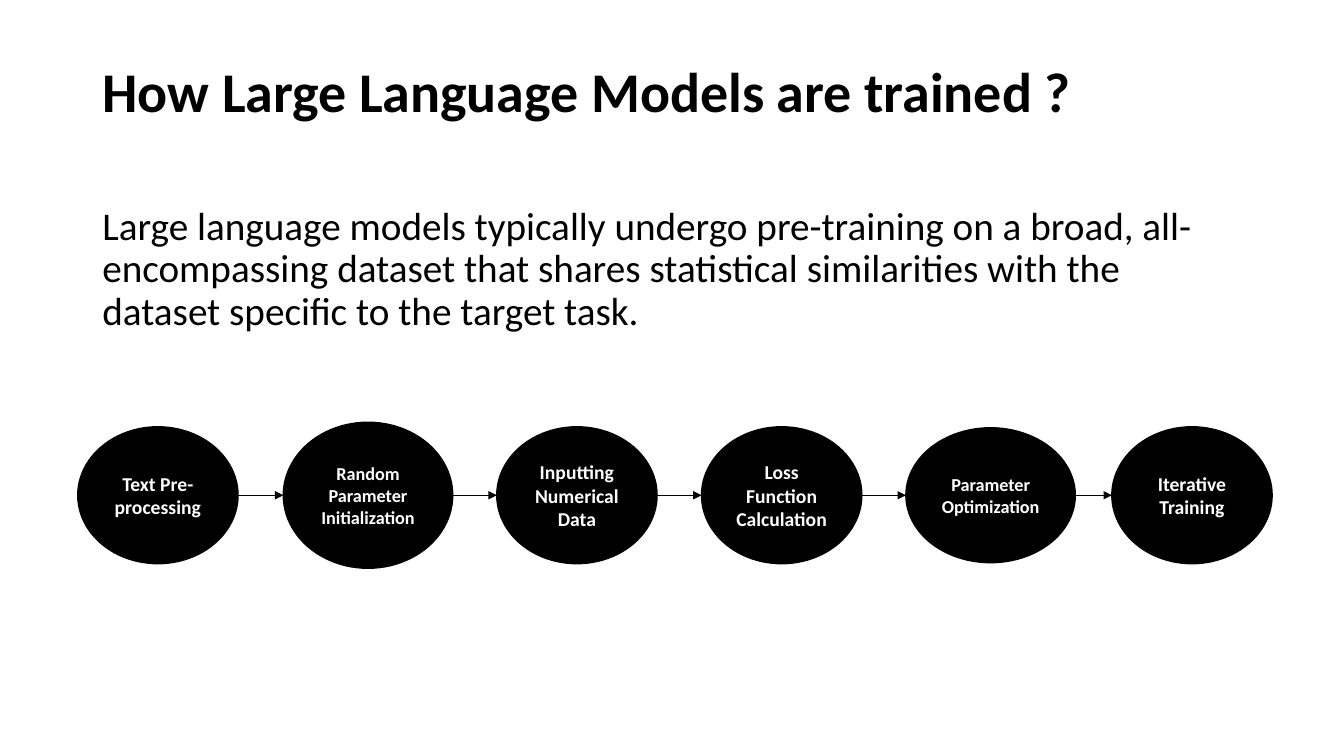
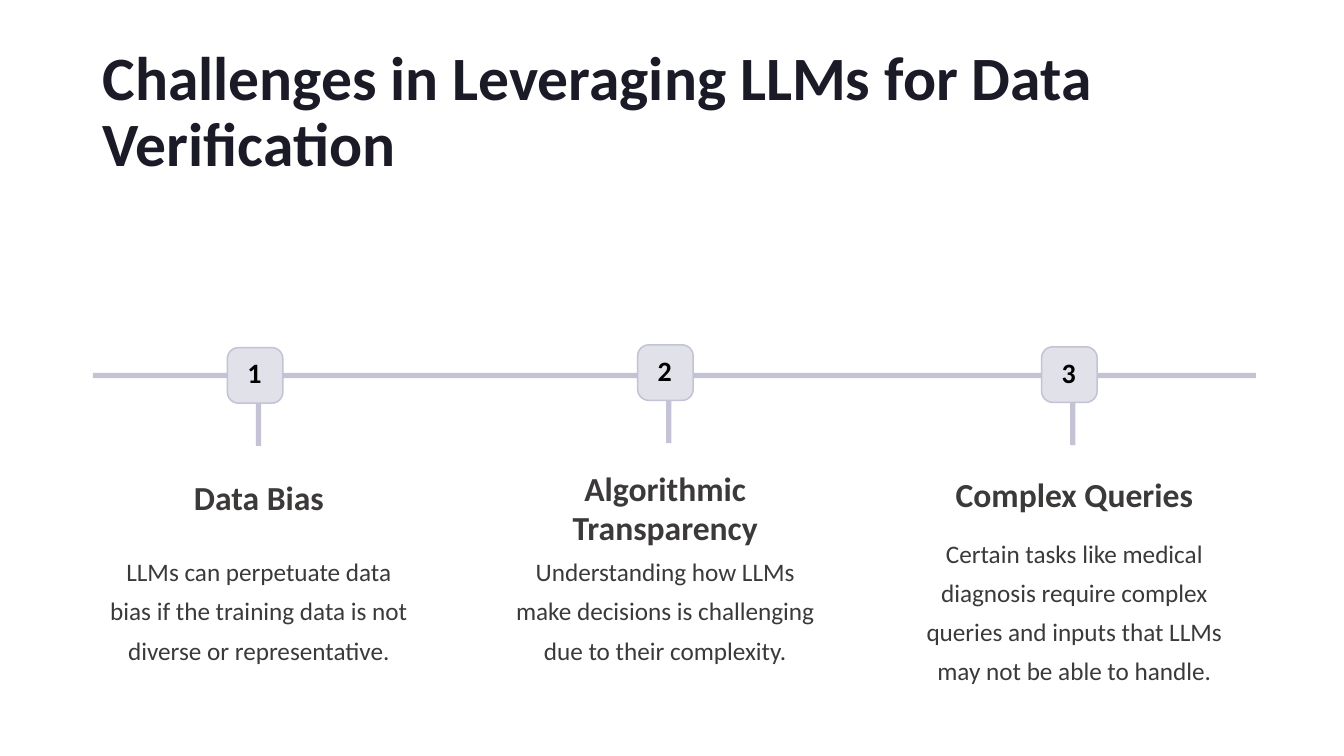
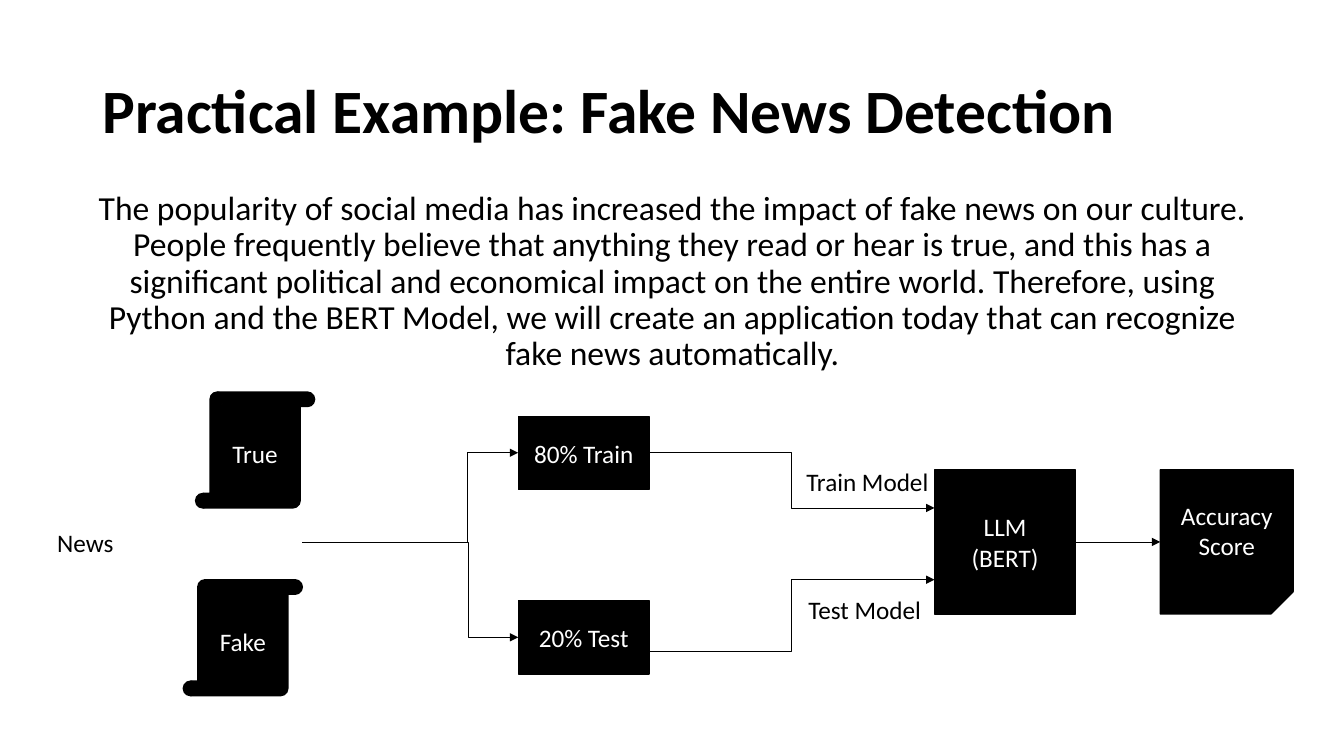
from lxml import etree
from pptx import Presentation
from pptx.dml.color import RGBColor
from pptx.enum.shapes import MSO_CONNECTOR, MSO_SHAPE
from pptx.enum.text import MSO_ANCHOR, MSO_AUTO_SIZE, PP_ALIGN
from pptx.oxml.ns import qn
from pptx.util import Cm, Pt

LEFT, CENTER = PP_ALIGN.LEFT, PP_ALIGN.CENTER
TOP, MIDDLE = MSO_ANCHOR.TOP, MSO_ANCHOR.MIDDLE
NO_AUTOFIT = MSO_AUTO_SIZE.NONE
STRAIGHT, ELBOW = MSO_CONNECTOR.STRAIGHT, MSO_CONNECTOR.ELBOW
RECT, ROUNDED, OVAL = MSO_SHAPE.RECTANGLE, MSO_SHAPE.ROUNDED_RECTANGLE, MSO_SHAPE.OVAL
SCROLL, FOLDED = MSO_SHAPE.VERTICAL_SCROLL, MSO_SHAPE.FOLDED_CORNER
TITLE_ONLY = 5

COLORS = {
    "black": "000000",
    "white": "FFFFFF",
    "navy": "1B1B27",
    "gray": "3C3939",
    "lavender": "C3C3D5",
    "mist": "E1E1EA",
}

FORMATS = {
    "title": {"para": {"alignment": LEFT, "line_spacing": 0.9}, "font": {"bold": True}},
    "body": {"para": {"line_spacing": 0.9, "space_before": Pt(10)}, "font": {}},
    "label": {"para": {"alignment": LEFT}, "font": {"size": Pt(18)}},
    "node": {"para": {"alignment": CENTER}, "font": {"size": Pt(18)}},
    "step": {"para": {"alignment": CENTER}, "font": {"bold": True}},
    "badge": {"para": {"alignment": LEFT}, "font": {"size": Pt(20), "bold": True}},
    "heading": {
        "para": {"alignment": CENTER, "line_spacing": Pt(27.3)},
        "font": {"size": Pt(24), "bold": True},
    },
    "detail": {
        "para": {"alignment": CENTER, "line_spacing": Pt(28)},
        "font": {"size": Pt(18)},
    },
}


def rgb(color):
    return RGBColor.from_string(COLORS[color])


class Deck:
    font = "Calibri"

    def __init__(self):
        self.prs = Presentation()
        self.prs.slide_width, self.prs.slide_height = Cm(33.87), Cm(19.05)
        self.s = None

    def fill_text(self, sp, text, style, color, anchor=TOP, wrap=True, size=None, align=None):
        tf = sp.text_frame
        tf.auto_size = NO_AUTOFIT
        tf.word_wrap = wrap
        tf.vertical_anchor = anchor
        for i, line in enumerate(text.split("\n")):
            p = tf.add_paragraph() if i else tf.paragraphs[0]
            r = p.add_run()
            r.text = line
            for name, value in FORMATS[style]["para"].items():
                setattr(p, name, value)
            for name, value in FORMATS[style]["font"].items():
                setattr(r.font, name, value)
            if align is not None:
                p.alignment = align
            if size:
                r.font.size = Pt(size)
            r.font.name = self.font
            r.font.color.rgb = rgb(color)

    def slide(self, title, top=1.02, size=44, color="black"):
        self.s = self.prs.slides.add_slide(self.prs.slide_layouts[TITLE_ONLY])
        sp = self.s.shapes.title
        sp.left, sp.top, sp.width, sp.height = Cm(2.33), Cm(top), Cm(29.21), Cm(3.68)
        self.fill_text(sp, title, "title", color, MIDDLE, size=size)

    def text(self, box, text, style, color="black", **options):
        sp = self.s.shapes.add_textbox(*map(Cm, box))
        self.fill_text(sp, text, style, color, **options)

    def shape(self, kind, box, fill="black", line="black", width=1):
        sp = self.s.shapes.add_shape(kind, *map(Cm, box))
        sp.shadow.inherit = False
        sp.fill.solid()
        sp.fill.fore_color.rgb = rgb(fill)
        if line:
            sp.line.color.rgb = rgb(line)
            sp.line.width = Pt(width)
        else:
            sp.line.fill.background()
        return sp

    def node(self, kind, box, text, style="node", size=None):
        sp = self.shape(kind, box)
        self.fill_text(sp, text, style, "white", MIDDLE, size=size)
        return sp

    def badge(self, box, text):
        sp = self.shape(ROUNDED, box, "mist", "lavender", 1.09)
        sp.adjustments[0] = 0.2
        self.fill_text(sp, text, "badge", "black")
        sp.text_frame.margin_left = Cm(0.42)

    def connector(self, start, end, kind=STRAIGHT, arrow=True):
        c = self.s.shapes.add_connector(kind, *map(Cm, start + end))
        c.line.color.rgb = rgb("black")
        c.line.width = Pt(0.5)
        properties = c.element.spPr
        if arrow:
            etree.SubElement(properties.find(qn("a:ln")), qn("a:tailEnd"), type="triangle")
        etree.SubElement(properties, qn("a:effectLst"))
        return c


def training_slide(deck):
    deck.slide("How Large Language Models are trained ?", top=0.53, size=40)
    deck.text(
        (2.33, 5.08, 29.21, 3.68),
        "Large language models typically undergo pre-training on a broad, "
        "all-encompassing dataset that shares statistical similarities with the "
        "dataset specific to the target task.",
        "body", size=28,
    )
    middle = 12.48
    steps = [
        ("Text Pre- processing", 1.96, 4.04, 3.45, 14),
        ("Random Parameter Initialization", 7.14, 4.27, 3.68, 13),
        ("Inputting Numerical Data", 12.52, 4.04, 3.45, 14),
        ("Loss Function Calculation", 17.68, 4.04, 3.45, 14),
        ("Parameter Optimization", 22.83, 4.27, 3.4, 13),
        ("Iterative Training", 28.02, 4.04, 3.45, 14),
    ]
    for text, left, width, height, size in steps:
        deck.node(OVAL, (left, middle - height / 2, width, height), text, "step", size)
    for (_, left, width, _, _), following in zip(steps, steps[1:]):
        deck.connector((left + width, middle), (following[1], middle))


def challenges_slide(deck):
    deck.slide("Challenges in Leveraging LLMs for Data Verification", color="navy")
    deck.shape(RECT, (2.34, 9.4, 29.31, 0.13), "lavender", None)
    column_width = 8.13
    challenges = [
        (6.45, 8.76, 2.46, "Data Bias", 11.94, 13.67,
         "LLMs can perpetuate data bias if the training data is not diverse "
         "or representative."),
        (16.79, 8.69, 12.7, "Algorithmic Transparency", 11.73, 13.67,
         "Understanding how LLMs make decisions is challenging due to their "
         "complexity."),
        (26.97, 8.74, 23.01, "Complex Queries", 11.86, 13.21,
         "Certain tasks like medical diagnosis require complex queries and "
         "inputs that LLMs may not be able to handle."),
    ]
    for number, challenge in enumerate(challenges, 1):
        stem, top, left, heading, heading_top, detail_top, detail = challenge
        deck.shape(RECT, (stem, top + 0.32, 0.13, 2.16), "lavender", None)
        deck.badge((stem - 0.72, top, 1.4, 1.4), str(number))
        deck.text((left, heading_top, column_width, 1.93), heading, "heading", "gray")
        deck.text((left, detail_top, column_width, 3.94), detail, "detail", "gray")


def example_slide(deck):
    deck.slide("Practical Example: Fake News Detection")
    deck.text(
        (2.06, 4.7, 29.77, 4.83),
        "The popularity of social media has increased the impact of fake news on "
        "our culture. People frequently believe that anything they read or hear is "
        "true, and this has a significant political and economical impact on the "
        "entire world. Therefore, using Python and the BERT Model, we will create "
        "an application today that can recognize fake news automatically.",
        "body", size=24, align=CENTER,
    )
    for text, left, top in [("True", 4.93, 9.88), ("Fake", 4.62, 14.61)]:
        deck.node(SCROLL, (left, top, 3, 2.92), text)
    for text, top in [("80% Train", 10.49), ("20% Test", 15.14)]:
        deck.node(RECT, (13.06, top, 3.3, 1.85), text)
    model = deck.node(RECT, (23.55, 11.84, 3.56, 3.63), "LLM\n(BERT)")
    score = deck.node(FOLDED, (29.24, 11.84, 3.35, 3.63), "Accuracy Score")

    deck.text((1.19, 13.16, 2.31, 1.02), "News", "label")
    deck.text((20.07, 11.63, 3.63, 1.02), "Train Model", "label", wrap=False)
    deck.text((20.12, 14.86, 3.38, 1.02), "Test Model", "label", wrap=False)

    deck.connector((7.62, 13.67), (10.57, 13.67), arrow=False)
    for start, end in [
        ((10.49, 13.67), (13.06, 11.41)),
        ((10.57, 13.67), (13.06, 16.06)),
        ((16.36, 11.41), (23.55, 12.8)),
        ((16.36, 16.41), (23.55, 14.61)),
    ]:
        deck.connector(start, end, ELBOW)
    c = deck.connector((27.11, 13.66), (29.24, 13.66))
    c.begin_connect(model, 3)
    c.end_connect(score, 1)


def main():
    deck = Deck()
    training_slide(deck)
    challenges_slide(deck)
    example_slide(deck)
    deck.prs.save("out.pptx")


if __name__ == "__main__":
    main()
